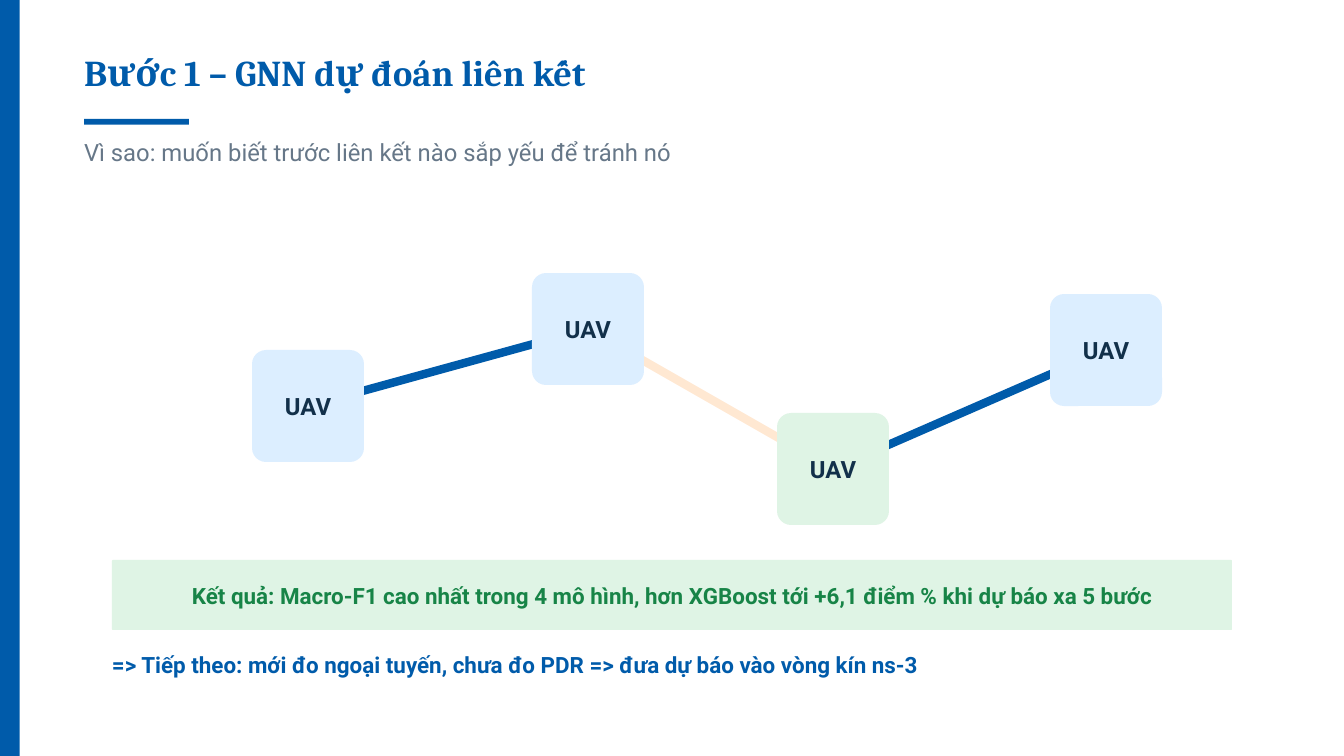
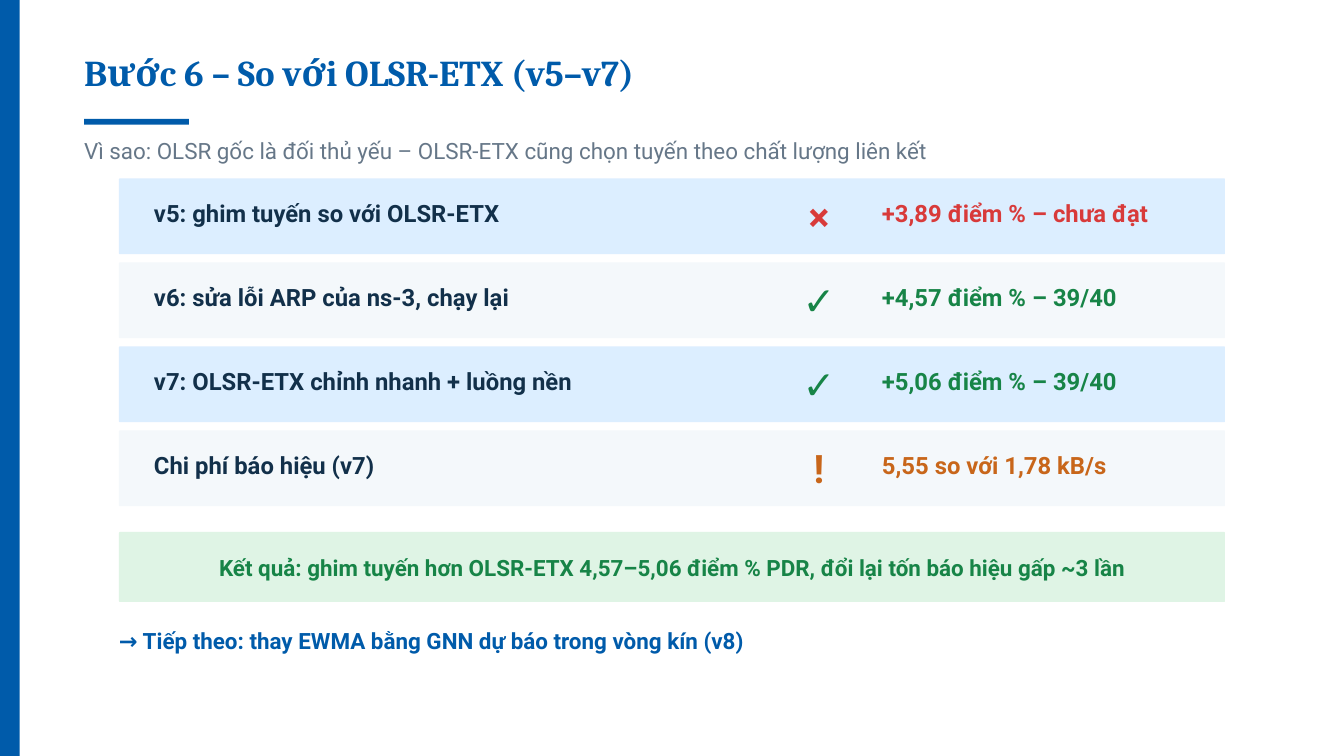
from itertools import pairwise

from lxml import etree
from pptx import Presentation
from pptx.dml.color import RGBColor
from pptx.enum.shapes import MSO_CONNECTOR, MSO_SHAPE
from pptx.enum.text import MSO_ANCHOR, MSO_AUTO_SIZE, PP_ALIGN
from pptx.oxml.ns import qn
from pptx.util import Pt

RECTANGLE, ROUNDED = MSO_SHAPE.RECTANGLE, MSO_SHAPE.ROUNDED_RECTANGLE
STRAIGHT = MSO_CONNECTOR.STRAIGHT
TOP, MIDDLE = MSO_ANCHOR.TOP, MSO_ANCHOR.MIDDLE
LEFT, CENTER = PP_ALIGN.LEFT, PP_ALIGN.CENTER
NO_AUTOFIT = MSO_AUTO_SIZE.NONE

COLORS = {
    "blue": "005BAA",
    "sky": "DCEEFF",
    "mist": "F4F8FB",
    "mint": "DFF4E5",
    "peach": "FFE8D2",
    "ink": "12304A",
    "gray": "667788",
    "green": "178447",
    "red": "D83A3A",
    "orange": "C8661A",
}
WIDTH, HEIGHT = 1440, 810
MARGIN = 90
HEADING_FONT, BODY_FONT = "Cambria", "Roboto"


def rgb(name):
    return RGBColor.from_string(COLORS[name])


class Deck:
    """Holds the shared style and draws on the current slide, in points."""

    def __init__(self):
        self.prs = Presentation()
        self.prs.slide_width, self.prs.slide_height = Pt(WIDTH), Pt(HEIGHT)
        self.slide = None

    def add_slide(self, title, reason, reason_size):
        """Starts a slide with its side bar, title, rule and reason line."""
        self.slide = self.prs.slides.add_slide(self.prs.slide_layouts[5])
        self.box(0, 0, 21, HEIGHT, "blue")
        heading = self.slide.shapes.title
        heading.left, heading.top = Pt(MARGIN), Pt(56.25)
        heading.width, heading.height = Pt(1050), Pt(44.5)
        self.set_text(heading, title, 39, "blue", spacing=43.7, font=HEADING_FONT)
        self.box(MARGIN, 127.5, 112.5, 6, "blue")
        self.text(MARGIN, 142.25, 1200, 33, reason, reason_size, "gray",
                  spacing=reason_size * 1.4, bold=False)

    def set_text(self, shape, text, size, color, spacing, bold=True, align=LEFT,
                 anchor=TOP, insets=(0, 0, 0, 0), font=BODY_FONT):
        frame = shape.text_frame
        frame.text = text
        frame.word_wrap = True
        frame.auto_size = NO_AUTOFIT
        frame.vertical_anchor = anchor
        (frame.margin_left, frame.margin_top,
         frame.margin_right, frame.margin_bottom) = map(Pt, insets)
        paragraph = frame.paragraphs[0]
        paragraph.alignment = align
        paragraph.line_spacing = Pt(spacing)
        style = paragraph.runs[0].font
        style.name, style.size, style.bold = font, Pt(size), bold
        style.color.rgb = rgb(color)

    def text(self, x, y, w, h, text, size, color, spacing, **style):
        box = self.slide.shapes.add_textbox(Pt(x), Pt(y), Pt(w), Pt(h))
        self.set_text(box, text, size, color, spacing, **style)

    def box(self, x, y, w, h, fill, radius=0):
        kind = ROUNDED if radius else RECTANGLE
        box = self.slide.shapes.add_shape(kind, Pt(x), Pt(y), Pt(w), Pt(h))
        if radius:
            box.adjustments[0] = radius / min(w, h)
        box.shadow.inherit = False
        box.fill.solid()
        box.fill.fore_color.rgb = rgb(fill)
        box.line.fill.background()
        return box

    def link(self, start, end, color):
        line = self.slide.shapes.add_connector(
            STRAIGHT, *(Pt(v) for v in (*start, *end)))
        line.line.color.rgb = rgb(color)
        line.line.width = Pt(9)
        properties = line._element.spPr
        etree.SubElement(properties, qn("a:effectLst"))

    def node(self, center, size, label, fill):
        x, y = (v - size / 2 for v in center)
        node = self.box(x, y, size, size, fill, radius=15)
        self.set_text(node, label, 25.5, "ink", spacing=30.6, align=CENTER,
                      anchor=MIDDLE, insets=(4.5,) * 4)

    def comparison(self, x, y, w, fill, label, mark, value, color):
        """Draws one band: what was tested, its verdict mark and the figure."""
        self.box(x, y, w, 81, fill, radius=0.75)
        self.text(165, y + 20.25, 637.5, 31, label, 25.5, "ink", spacing=31.9)
        self.text(840, y + 6.75, 75, 54, mark, 42, color, spacing=58.8, align=CENTER)
        self.text(945, y + 20.25, 360, 31, value, 25.5, color, spacing=31.9)

    def conclusion(self, x, y, result, next_y, next_step):
        """Draws the centred result band and the next step below it."""
        w = WIDTH - 2 * x
        band = self.box(x, y, w, 75, "mint", radius=1)
        self.set_text(band, result, 24, "green", spacing=33.6, align=CENTER,
                      anchor=MIDDLE, insets=(4.5, 4.5, 4.5, 7.5))
        self.text(x, next_y, w, 32.5, next_step, 24, "blue", spacing=33.6)


def link_prediction(deck):
    deck.add_slide("Bước 1 – GNN dự đoán liên kết",
                   "Vì sao: muốn biết trước liên kết nào sắp yếu để tránh nó", 25.5)
    centers = [(330, 435), (630, 352.5), (892.5, 502.5), (1185, 375)]
    for (start, end), color in zip(pairwise(centers), ("blue", "peach", "blue")):
        deck.link(start, end, color)
    for center, fill in zip(centers, ("sky", "sky", "mint", "sky")):
        deck.node(center, 120, "UAV", fill)
    deck.conclusion(
        120, 600,
        "Kết quả: Macro-F1 cao nhất trong 4 mô hình, hơn XGBoost tới +6,1 điểm % "
        "khi dự báo xa 5 bước",
        693, "=> Tiếp theo: mới đo ngoại tuyến, chưa đo PDR => đưa dự báo vào "
        "vòng kín ns-3")


def etx_comparison(deck):
    deck.add_slide("Bước 6 – So với OLSR-ETX (v5–v7)",
                   "Vì sao: OLSR gốc là đối thủ yếu – OLSR-ETX cũng chọn tuyến theo "
                   "chất lượng liên kết", 24)
    comparisons = [
        ("v5: ghim tuyến so với OLSR-ETX", "×", "+3,89 điểm % – chưa đạt", "red"),
        ("v6: sửa lỗi ARP của ns-3, chạy lại", "✓", "+4,57 điểm % – 39/40", "green"),
        ("v7: OLSR-ETX chỉnh nhanh + luồng nền", "✓", "+5,06 điểm % – 39/40", "green"),
        ("Chi phí báo hiệu (v7)", "!", "5,55 so với 1,78 kB/s", "orange"),
    ]
    x = 127.5
    for i, comparison in enumerate(comparisons):
        deck.comparison(x, 191.25 + 90 * i, WIDTH - 2 * x,
                        ("sky", "mist")[i % 2], *comparison)
    deck.conclusion(
        x, 570,
        "Kết quả: ghim tuyến hơn OLSR-ETX 4,57–5,06 điểm % PDR, đổi lại tốn "
        "báo hiệu gấp ~3 lần",
        666.75, "→ Tiếp theo: thay EWMA bằng GNN dự báo trong vòng kín (v8)")


def main():
    deck = Deck()
    link_prediction(deck)
    etx_comparison(deck)
    deck.prs.save("out.pptx")


if __name__ == "__main__":
    main()
